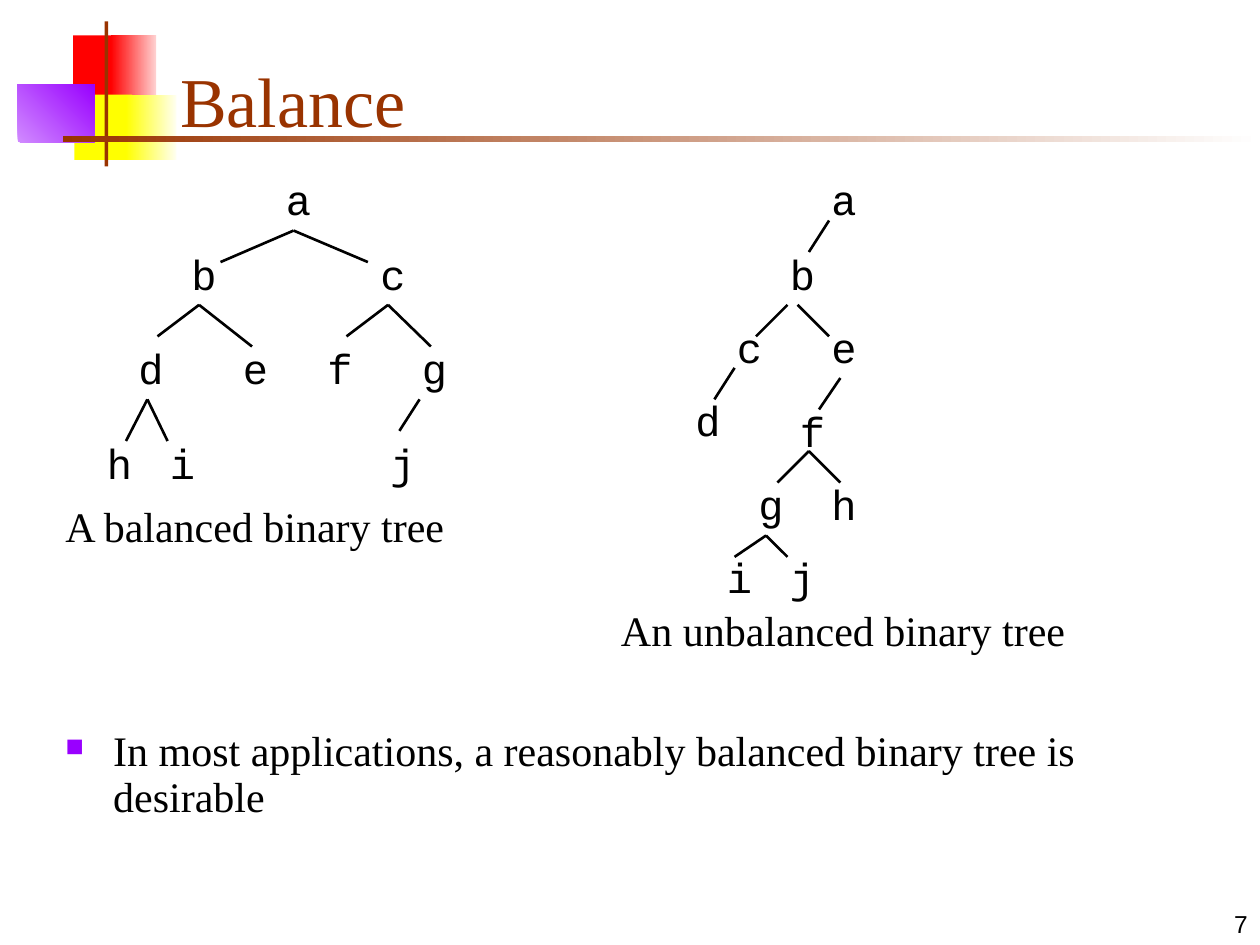
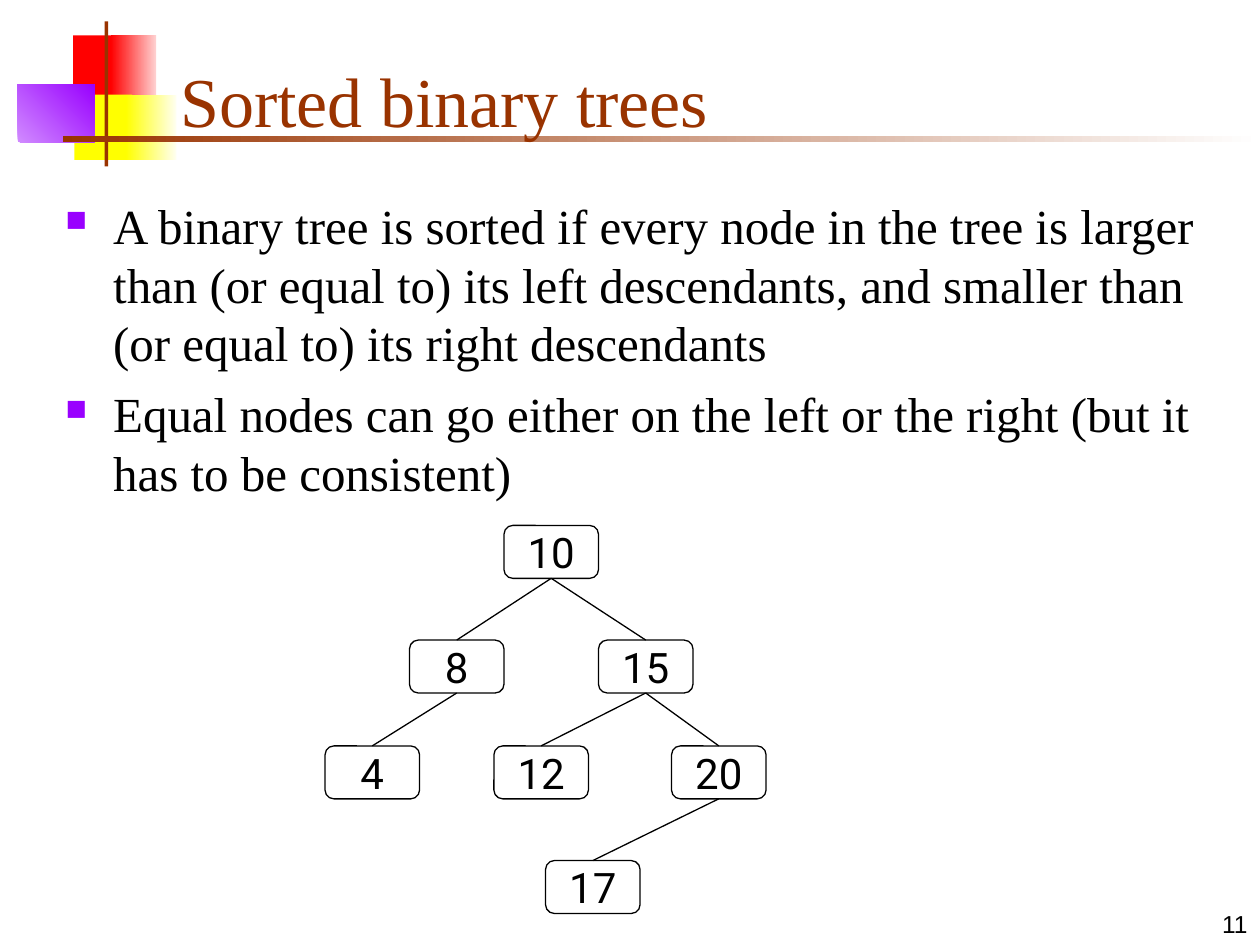
from dataclasses import dataclass
from typing import NamedTuple, Optional

from lxml.etree import SubElement
from pptx import Presentation
from pptx.dml.color import RGBColor
from pptx.enum.shapes import MSO_CONNECTOR as Connector, MSO_SHAPE as Shape
from pptx.enum.text import MSO_ANCHOR as Anchor, MSO_AUTO_SIZE as AutoSize, PP_ALIGN as Align
from pptx.oxml.ns import qn
from pptx.util import Inches, Pt


@dataclass(frozen=True)
class Theme:
    ink: str = "000000"
    brown: str = "993300"
    red: str = "FF0000"
    yellow: str = "FFFF00"
    purple: str = "9900FF"
    pale_red: str = "FFD1D1"
    pale_yellow: str = "FFFFF0"
    pale_purple: str = "D18BFF"
    white: str = "FFFFFF"
    serif: str = "Times New Roman"
    mono: str = "Courier New"
    sans: str = "Arial"
    node_font: str = "Roboto"
    title_size: int = 40
    bullet_size: int = 28
    tree_size: int = 24
    number_size: int = 14
    bullet_percent: int = 60
    branch_width: float = 1.5
    node_line_width: float = 0.75


THEME = Theme()


class Box(NamedTuple):
    left: float
    top: float
    width: float
    height: float

    def lengths(self) -> list:
        return [Inches(value) for value in self]


class Band(NamedTuple):
    box: Box
    color: str
    fade_to: Optional[str] = None
    angle: int = 0


class Row(NamedTuple):
    """Letters at one height, each with its left edge."""
    top: float
    letters: dict


class Fork(NamedTuple):
    """A point from which branches run to one or two tips."""
    x: float
    y: float
    tips: list


class LetterTree(NamedTuple):
    rows: list
    forks: list
    caption: str
    caption_box: Box


class Node(NamedTuple):
    value: int
    left: float
    top: float
    parent: Optional[int] = None


BANDS = [
    Band(Box(0.58, 0.28, 0.35, 0.52), THEME.red),
    Band(Box(0.88, 0.28, 0.36, 0.52), THEME.red, THEME.pale_red),
    Band(Box(0.59, 0.75, 0.46, 0.52), THEME.yellow),
    Band(Box(1, 0.75, 0.4, 0.52), THEME.yellow, THEME.pale_yellow),
    Band(Box(0.14, 0.67, 0.61, 0.46), THEME.pale_purple, THEME.purple, 45),
    Band(Box(0.83, 0.17, 0.03, 1.15), THEME.brown),
    Band(Box(0.5, 1.08, 9.5, 0.05), THEME.brown, THEME.white),
]
TITLE_BOX = Box(1.33, 0.25, 8.52, 0.92)
NUMBER_BOX = Box(7.92, 7, 2.08, 0.5)
LETTER_SIZE = (0.42, 0.5)
NODE_SIZE = (0.75, 0.42)

BALANCED = LetterTree(
    rows=[
        Row(1.33, {"a": 2.17}),
        Row(1.92, {"b": 1.42, "c": 2.92}),
        Row(2.67, {"d": 1, "e": 1.83, "f": 2.5, "g": 3.25}),
        Row(3.42, {"h": 0.75, "i": 1.25, "j": 3}),
    ],
    forks=[
        Fork(2.33, 1.83, [(1.75, 2.08), (2.92, 2.08)]),
        Fork(1.58, 2.42, [(1.25, 2.67), (2, 2.75)]),
        Fork(3.08, 2.42, [(2.75, 2.67), (3.42, 2.75)]),
        Fork(1.17, 3.17, [(1, 3.5), (1.33, 3.5)]),
        Fork(3.33, 3.17, [(3.17, 3.42)]),
    ],
    caption="A balanced binary tree",
    caption_box=Box(0.42, 3.92, 3.42, 0.5),
)
UNBALANCED = LetterTree(
    rows=[
        Row(1.33, {"a": 6.5}),
        Row(1.92, {"b": 6.17}),
        Row(2.5, {"c": 5.75, "e": 6.5}),
        Row(3.08, {"d": 5.42}),
        Row(3.17, {"f": 6.25}),
        Row(3.75, {"g": 5.92, "h": 6.5}),
        Row(4.33, {"i": 5.67, "j": 6.17}),
    ],
    forks=[
        Fork(6.58, 1.75, [(6.42, 2)]),
        Fork(6.25, 2.42, [(6, 2.67)]),
        Fork(6.33, 2.42, [(6.58, 2.67)]),
        Fork(5.83, 2.92, [(5.67, 3.17)]),
        Fork(6.67, 3, [(6.5, 3.25)]),
        Fork(6.42, 3.58, [(6.17, 3.83), (6.67, 3.83)]),
        Fork(6.08, 4.25, [(5.83, 4.42), (6.25, 4.42)]),
    ],
    caption="An unbalanced binary tree",
    caption_box=Box(4.83, 4.75, 3.75, 0.5),
)
SORTED_NODES = [
    Node(10, 4, 4.17),
    Node(8, 3.25, 5.08, parent=10),
    Node(15, 4.75, 5.08, parent=10),
    Node(4, 2.58, 5.92, parent=8),
    Node(12, 3.92, 5.92, parent=15),
    Node(20, 5.33, 5.92, parent=15),
    Node(17, 4.33, 6.83, parent=20),
]


def rgb(color: str) -> RGBColor:
    return RGBColor.from_string(color)


def format_text(text_frame, font: str, size: int, color: str = THEME.ink) -> None:
    for paragraph in text_frame.paragraphs:
        for run in paragraph.runs:
            run.font.name = font
            run.font.size = Pt(size)
            run.font.color.rgb = rgb(color)


def add_text(shapes, box: Box, text: str, font: str, size: int):
    text_frame = shapes.add_textbox(*box.lengths()).text_frame
    text_frame.word_wrap = True
    text_frame.text = text
    format_text(text_frame, font, size)
    return text_frame


def add_bands(layout, slide) -> None:
    """Draw the bands on a slide, then hand them to the layout that all slides share."""
    for shape_id, band in enumerate(BANDS, start=100):
        shape = slide.shapes.add_shape(Shape.RECTANGLE, *band.box.lengths())
        shape.shadow.inherit = False
        shape.line.fill.background()
        if band.fade_to:
            shape.fill.gradient()
            shape.fill.gradient_angle = band.angle
            stops = zip(shape.fill.gradient_stops, (band.color, band.fade_to), (0, 1))
            for stop, color, position in stops:
                stop.color.rgb = rgb(color)
                stop.position = position
        else:
            shape.fill.solid()
            shape.fill.fore_color.rgb = rgb(band.color)
        shape.element.nvSpPr.cNvPr.set("id", str(shape_id))
        layout.shapes.element.append(shape.element)


def add_titled_slide(presentation, layout, title: str, number: int):
    slide = presentation.slides.add_slide(layout)
    placeholder = slide.shapes.title
    placeholder.left, placeholder.top, placeholder.width, placeholder.height = TITLE_BOX.lengths()
    text_frame = placeholder.text_frame
    text_frame.text = title
    text_frame.auto_size = AutoSize.NONE
    text_frame.vertical_anchor = Anchor.BOTTOM
    text_frame.paragraphs[0].alignment = Align.LEFT
    format_text(text_frame, THEME.serif, THEME.title_size, THEME.brown)

    number_frame = add_text(slide.shapes, NUMBER_BOX, str(number), THEME.sans, THEME.number_size)
    number_frame.vertical_anchor = Anchor.BOTTOM
    number_frame.paragraphs[0].alignment = Align.RIGHT
    return slide


def add_bullets(slide, box: Box, lines: list, size: int, space_before: int,
                line_spacing: float = 1.0) -> None:
    text_frame = add_text(slide.shapes, box, "\n".join(lines), THEME.serif, size)
    for paragraph in text_frame.paragraphs:
        paragraph.space_before = Pt(space_before)
        paragraph.line_spacing = line_spacing
        properties = paragraph._p.get_or_add_pPr()
        properties.set("marL", str(Inches(0.38)))
        properties.set("indent", str(-Inches(0.38)))
        bullet_color = SubElement(properties, qn("a:buClr"))
        SubElement(bullet_color, qn("a:srgbClr"), val=THEME.purple)
        SubElement(properties, qn("a:buSzPct"), val=str(THEME.bullet_percent * 1000))
        SubElement(properties, qn("a:buChar"), char="■")


def add_line(shapes, start: tuple, end: tuple, width: float):
    connector = shapes.add_connector(Connector.STRAIGHT, *start, *end)
    connector.line.color.rgb = rgb(THEME.ink)
    connector.line.width = Pt(width)
    SubElement(connector.element.spPr, qn("a:effectLst"))
    return connector


def add_letter_tree(slide, tree: LetterTree) -> None:
    shapes = slide.shapes.add_group_shape().shapes
    for row in tree.rows:
        for letter, left in row.letters.items():
            add_text(shapes, Box(left, row.top, *LETTER_SIZE), letter, THEME.mono, THEME.tree_size)
    for fork in tree.forks:
        start = (Inches(fork.x), Inches(fork.y))
        for x, y in fork.tips:
            add_line(shapes, start, (Inches(x), Inches(y)), THEME.branch_width)
    add_text(shapes, tree.caption_box, tree.caption, THEME.serif, THEME.tree_size)


def add_node(shapes, node: Node):
    shape = shapes.add_shape(Shape.ROUNDED_RECTANGLE, *Box(node.left, node.top, *NODE_SIZE).lengths())
    shape.shadow.inherit = False
    shape.fill.background()
    shape.line.color.rgb = rgb(THEME.ink)
    shape.line.width = Pt(THEME.node_line_width)
    text_frame = shape.text_frame
    text_frame.text = str(node.value)
    text_frame.word_wrap = False
    text_frame.vertical_anchor = Anchor.MIDDLE
    text_frame.paragraphs[0].alignment = Align.CENTER
    format_text(text_frame, THEME.node_font, THEME.tree_size)
    return shape


def add_node_tree(slide, nodes: list) -> None:
    shapes = slide.shapes.add_group_shape().shapes
    boxes = {node.value: add_node(shapes, node) for node in nodes}
    for node in nodes:
        if node.parent is not None:
            parent, child = boxes[node.parent], boxes[node.value]
            connector = add_line(shapes, (parent.left, parent.top), (child.left, child.top),
                                 THEME.node_line_width)
            connector.begin_connect(parent, 2)
            connector.end_connect(child, 0)


def main() -> None:
    presentation = Presentation()
    presentation.slide_width = Inches(10)
    presentation.slide_height = Inches(7.5)
    layout = presentation.slide_layouts.get_by_name("Title Only")

    balance = add_titled_slide(presentation, layout, "Balance", 7)
    add_bands(layout, balance)
    add_bullets(balance, Box(0.42, 5.75, 9.38, 0.96),
                ["In most applications, a reasonably balanced binary tree is desirable"],
                THEME.tree_size, space_before=6, line_spacing=0.9)
    for tree in (BALANCED, UNBALANCED):
        add_letter_tree(balance, tree)

    sorted_trees = add_titled_slide(presentation, layout, "Sorted binary trees", 11)
    add_bullets(sorted_trees, Box(0.42, 1.5, 9.38, 5.21), [
        "A binary tree is sorted if every node in the tree is larger than (or equal to) "
        "its left descendants, and smaller than (or equal to) its right descendants",
        "Equal nodes can go either on the left or the right (but it has to be consistent)",
    ], THEME.bullet_size, space_before=7)
    add_node_tree(sorted_trees, SORTED_NODES)

    presentation.save("out.pptx")


if __name__ == "__main__":
    main()
